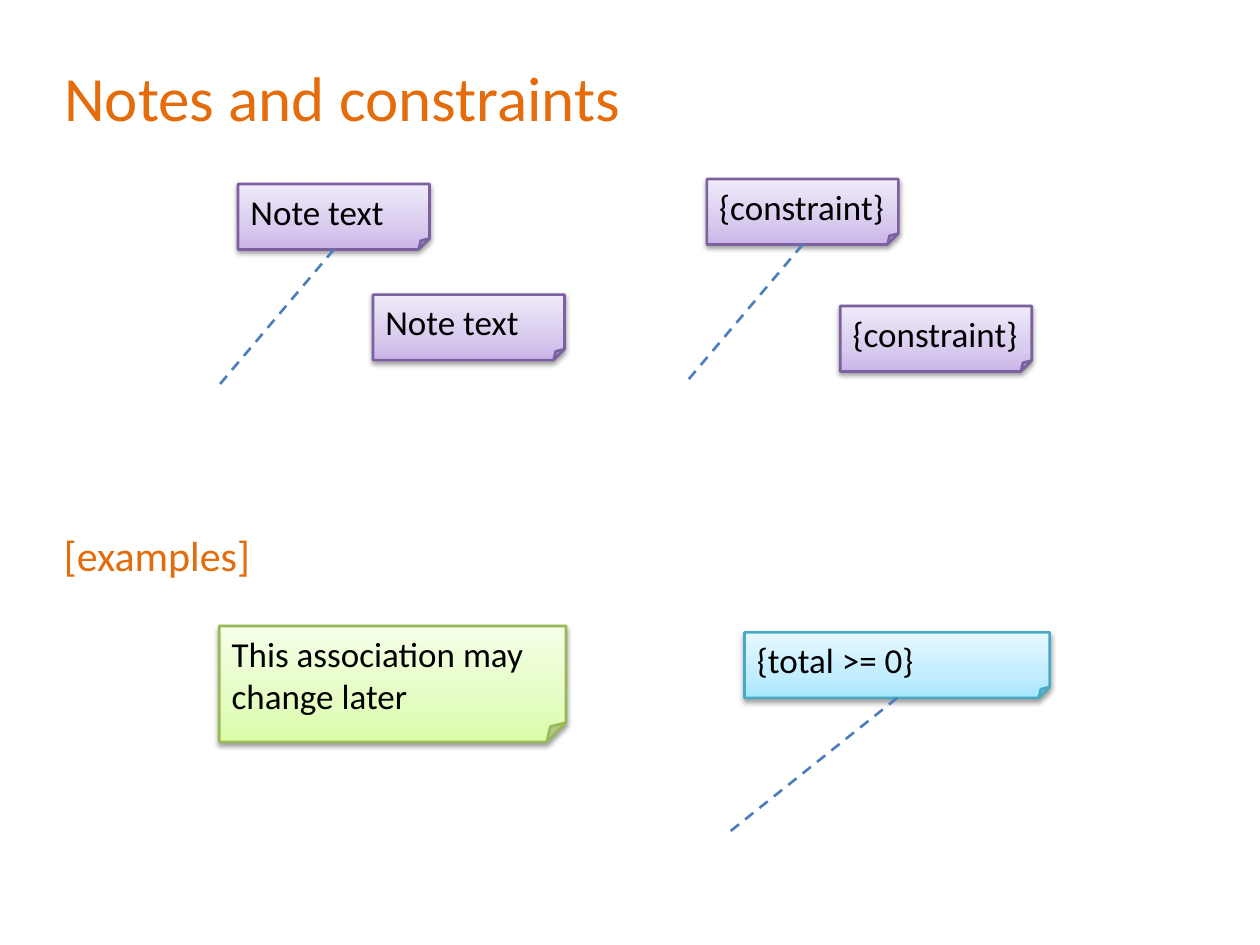
from collections import namedtuple

from lxml import etree
from pptx import Presentation
from pptx.dml import color
from pptx.enum import dml, shapes, text
from pptx.oxml import ns
from pptx.util import Cm, Pt

Box = namedtuple("Box", "left top width height")
Palette = namedtuple("Palette", "edge stops")

FONT = "Calibri"
ORANGE = "E46C0A"
LEADER_BLUE = "4B7EBC"
PURPLE = Palette("7D60A0", ((0, "C9B5E8"), (35, "D8CBEE"), (100, "F0EAF9")))
GREEN = Palette("98B955", ((0, "DAFDA7"), (35, "E4FCC2"), (100, "F5FFE7")))
CYAN = Palette("46AAC5", ((0, "A7E6FF"), (35, "C1EDFF"), (100, "E7F8FF")))


def rgb(value):
    return color.RGBColor.from_string(value)


def child(parent, tag, **attributes):
    node = etree.SubElement(parent, ns.qn(tag))
    for name, value in attributes.items():
        node.set(name, str(value))
    return node


def place(shape, box):
    shape.left, shape.top, shape.width, shape.height = map(Cm, box)


def write(shape, words, size=20, ink="000000", auto_size=text.MSO_AUTO_SIZE.NONE):
    frame = shape.text_frame
    frame.word_wrap = True
    frame.auto_size = auto_size
    frame.vertical_anchor = text.MSO_ANCHOR.MIDDLE
    para = frame.paragraphs[0]
    para.alignment = text.PP_ALIGN.LEFT
    span = para.add_run()
    span.text = words
    span.font.name = FONT
    span.font.size = Pt(size)
    span.font.color.rgb = rgb(ink)


def add_gradient(shape, stops):
    shape.fill.gradient()
    shape.fill.gradient_angle = 90
    stop_list = shape.element.spPr.find(".//" + ns.qn("a:gsLst"))
    for stop in list(stop_list):
        stop_list.remove(stop)
    for percent, value in stops:
        stop = child(stop_list, "a:gs", pos=percent * 1000)
        child(stop, "a:srgbClr", val=value)


def add_shadow(shape):
    shape.shadow.inherit = False
    effects = shape.element.spPr.find(ns.qn("a:effectLst"))
    shadow = child(effects, "a:outerShdw", blurRad=Pt(3.1), dist=Pt(1.6),
                   dir=90 * 60000, rotWithShape=0)
    black = child(shadow, "a:srgbClr", val="000000")
    child(black, "a:alpha", val=38000)


def add_leader(page, note, run, drop):
    start_x = note.left + note.width // 2
    start_y = note.top + note.height
    leader = page.shapes.add_connector(
        shapes.MSO_CONNECTOR.STRAIGHT, start_x, start_y,
        start_x + Cm(run), start_y + Cm(drop))
    leader.begin_connect(note, 2)
    leader.line.color.rgb = rgb(LEADER_BLUE)
    leader.line.width = Pt(1.5)
    leader.line.dash_style = dml.MSO_LINE.DASH
    child(leader.element.spPr, "a:effectLst")


def add_note(page, box, words, palette, leader=None):
    note = page.shapes.add_shape(shapes.MSO_SHAPE.FOLDED_CORNER, *map(Cm, box))
    add_gradient(note, palette.stops)
    note.line.color.rgb = rgb(palette.edge)
    note.line.width = Pt(1.5)
    add_shadow(note)
    write(note, words, auto_size=text.MSO_AUTO_SIZE.SHAPE_TO_FIT_TEXT)
    if leader:
        add_leader(page, note, *leader)


def add_section(page, box, heading, words, size, notes):
    place(heading, box)
    write(heading, words, size=size, ink=ORANGE)
    for offset, *details in notes:
        note_box = Box(box.left + offset.left, box.top + offset.top,
                       offset.width, offset.height)
        add_note(page, note_box, *details)


def build_page(deck):
    page = deck.slides.add_slide(deck.slide_layouts[5])
    small = (3.86, 1.32)
    short_leader = (-2.31, 2.73)
    add_section(page, Box(1.04, 0.84, 22.86, 2.21), page.shapes.title,
                "Notes and constraints", 36, (
                    (Box(3.76, 2.87, *small), "Note text", PURPLE, short_leader),
                    (Box(13.21, 2.77, *small), "{constraint}", PURPLE, short_leader),
                    (Box(6.48, 5.1, *small), "Note text", PURPLE),
                    (Box(15.9, 5.33, *small), "{constraint}", PURPLE),
                ))
    examples = page.shapes.add_textbox(0, 0, 0, 0)
    add_section(page, Box(1.04, 10.08, 22.86, 2.21), examples,
                "[examples]", 24, (
                    (Box(3.38, 2.54, 6.99, 2.34),
                     "This association may change later", GREEN),
                    (Box(13.97, 2.67, 6.15, 1.32),
                     "{total >= 0}", CYAN, (-3.43, 2.74)),
                ))


deck = Presentation()
deck.slide_width, deck.slide_height = Cm(25.4), Cm(19.05)
build_page(deck)
deck.save("out.pptx")
